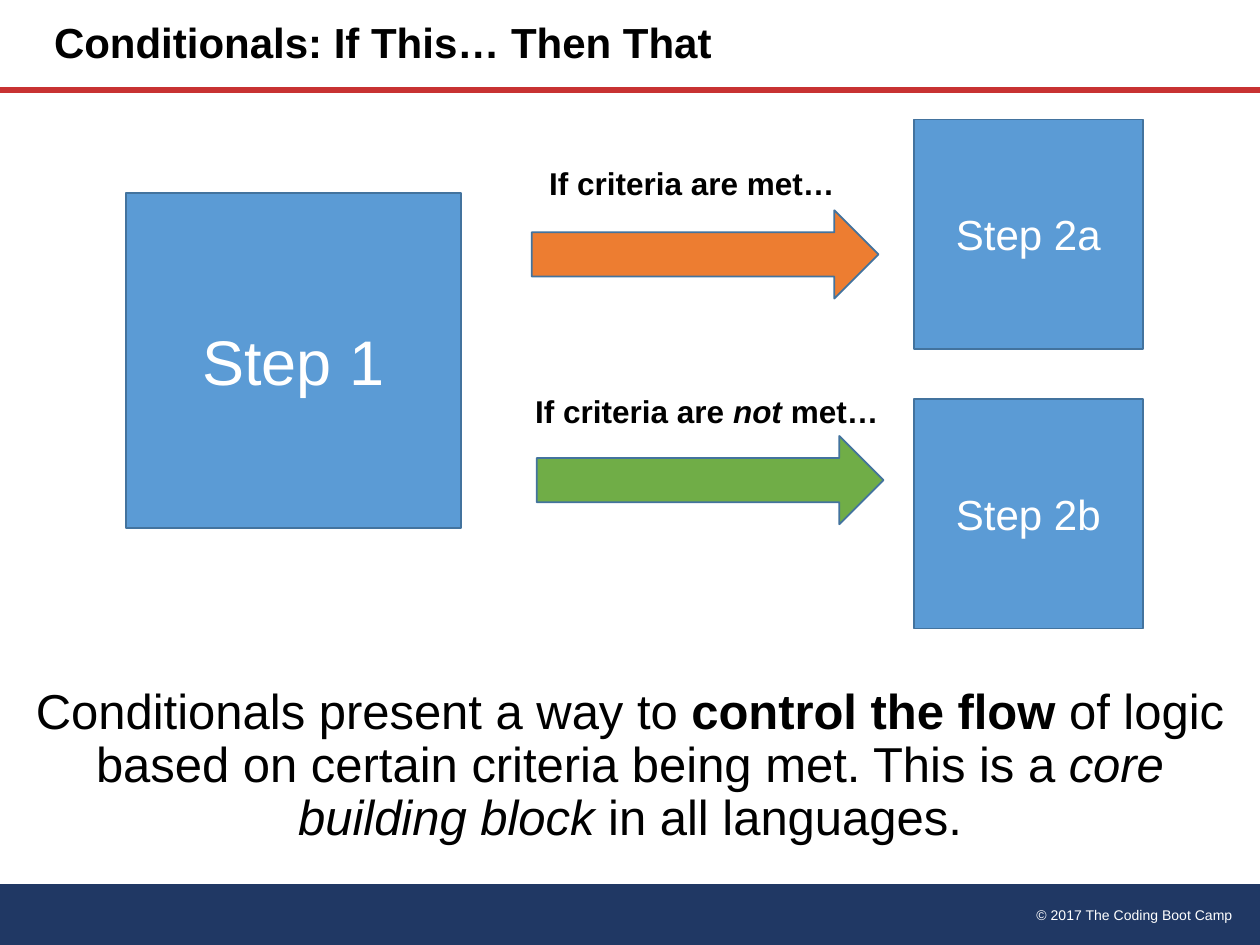
from lxml import etree
from pptx import Presentation
from pptx import util as u
from pptx.dml.color import RGBColor
from pptx.enum import shapes, text
from pptx.oxml.ns import qn

COLORS = {"navy": "203864", "red": "C83232", "blue": "5B9BD5", "edge": "43739E",
          "orange": "ED7D31", "green": "70AD47", "white": "FFFFFF", "black": "000000"}
WIDTH, HEIGHT = 25.4, 19.05

TITLE = [("Conditionals: If This… Then That", "b")]
SUMMARY = [("Conditionals present a way to ", ""), ("control the flow ", "b"),
           ("of logic based on certain criteria being met. This is a ", ""),
           ("core building block ", "i"), ("in all languages.", "")]
COPYRIGHT = [("© 2017 The Coding Boot Camp", "")]
STEPS = [("Step 1", 2.54, 3.89, 6.76, 36),
         ("Step 2a", 18.42, 2.41, 4.62, 24),
         ("Step 2b", 18.42, 8.05, 4.62, 24)]
ARROWS = [("orange", 10.72, 4.24), ("green", 10.82, 8.79)]
LABELS = [([("If criteria are met…", "b")], 10.82, 3.18, 6.32),
          ([("If criteria are ", "b"), ("not ", "bi"), ("met…", "b")], 10.54, 7.77, 7.49)]


def color(name):
    return RGBColor.from_string(COLORS[name])


def write(box, spans, size=18, ink="black", align="LEFT", anchor="TOP", spacing=1.0, wrap=True):
    frame = box.text_frame
    frame.word_wrap = wrap
    frame.vertical_anchor = getattr(text.MSO_ANCHOR, anchor)
    para = frame.paragraphs[0]
    para.alignment = getattr(text.PP_ALIGN, align)
    para.line_spacing = spacing
    for words, style in spans:
        span = para.add_run()
        span.text = words
        span.font.name = "Arial"
        span.font.size = u.Pt(size)
        span.font.bold = "b" in style
        span.font.italic = "i" in style
        span.font.color.rgb = color(ink)


def add_text(page, spans, left, top, width, height, **style):
    box = page.shapes.add_textbox(u.Cm(left), u.Cm(top), u.Cm(width), u.Cm(height))
    write(box, spans, **style)


def add_shape(page, kind, fill, left, top, width, height, edge=None):
    shape = page.shapes.add_shape(kind, u.Cm(left), u.Cm(top), u.Cm(width), u.Cm(height))
    shape.shadow.inherit = False
    shape.fill.solid()
    shape.fill.fore_color.rgb = color(fill)
    if edge:
        shape.line.color.rgb = color(edge)
        shape.line.width = u.Pt(1)
    else:
        shape.line.fill.background()
    return shape


def add_rule(page, top):
    rule = page.shapes.add_connector(shapes.MSO_CONNECTOR.STRAIGHT,
                                     0, u.Cm(top), u.Cm(WIDTH), u.Cm(top))
    rule.line.color.rgb = color("red")
    rule.line.width = u.Pt(3.25)
    etree.SubElement(rule._element.spPr, qn("a:effectLst"))


def main():
    deck = Presentation()
    deck.slide_width, deck.slide_height = u.Cm(WIDTH), u.Cm(HEIGHT)
    page = deck.slides.add_slide(deck.slide_layouts[6])
    kinds = shapes.MSO_SHAPE

    footer_top = 17.83
    add_shape(page, kinds.FLOWCHART_PROCESS, "navy", 0, footer_top, WIDTH, HEIGHT - footer_top)
    add_text(page, COPYRIGHT, 17.35, 18.16, 7.75, 0.6, size=8, ink="white", align="RIGHT")
    add_rule(page, 1.82)
    add_text(page, TITLE, 0.84, 0, 15.19, 1.82, size=24, anchor="MIDDLE", spacing=0.9)
    add_text(page, SUMMARY, 0.42, 13.69, 24.56, 3.53, size=28, align="CENTER",
             anchor="MIDDLE", spacing=0.9)

    for name, left, top, side, size in STEPS:
        step = add_shape(page, kinds.RECTANGLE, "blue", left, top, side, side, edge="edge")
        write(step, [(name, "")], size=size, ink="white", align="CENTER", anchor="MIDDLE")
    for fill, left, top in ARROWS:
        add_shape(page, kinds.RIGHT_ARROW, fill, left, top, 6.99, 1.78, edge="edge")
    for spans, left, top, width in LABELS:
        add_text(page, spans, left, top, width, 1.02, wrap=False)

    deck.save("out.pptx")


if __name__ == "__main__":
    main()
